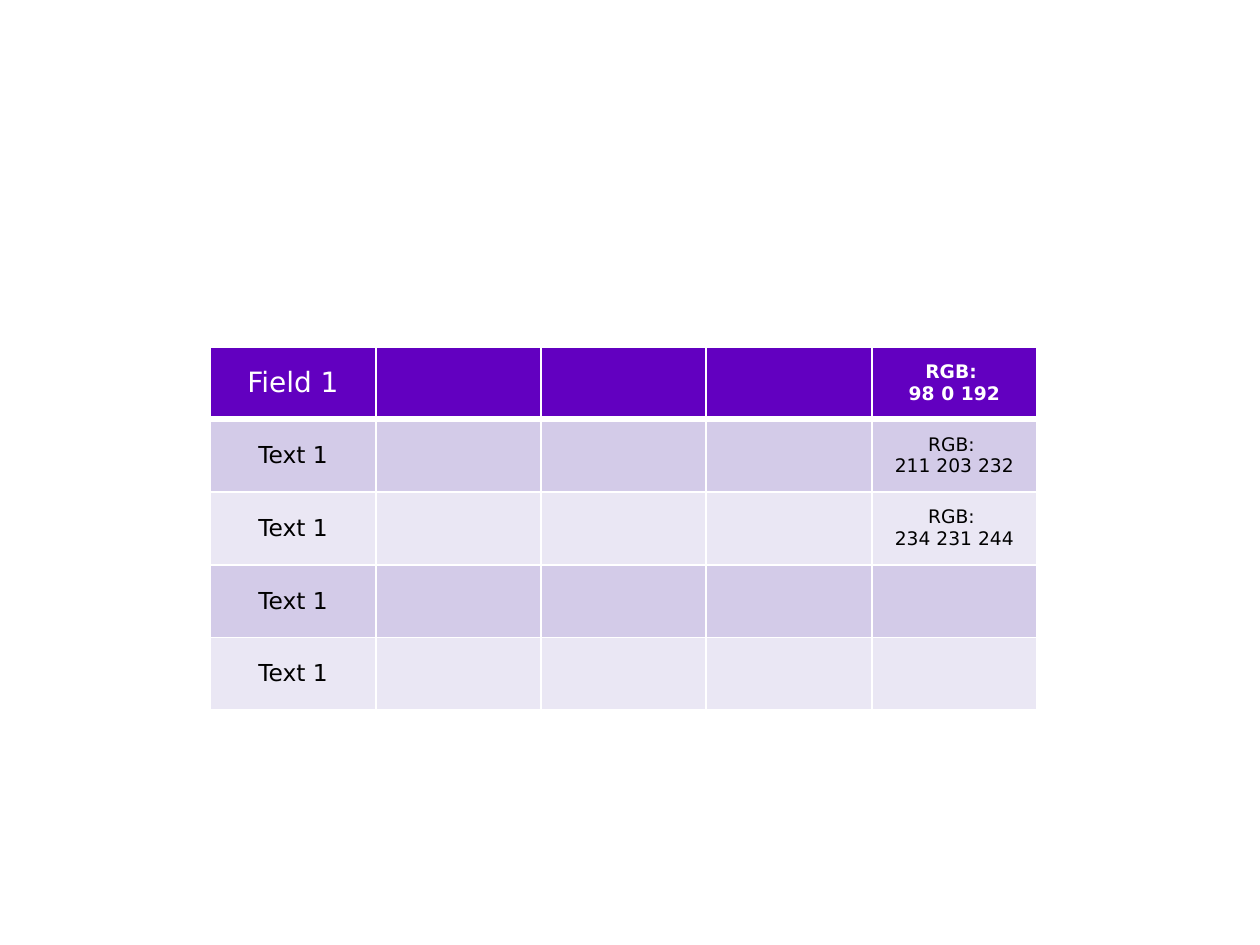
from lxml import etree
from pptx import Presentation
from pptx import util as u
from pptx.dml.color import RGBColor
from pptx.enum import text
from pptx.oxml import ns

WHITE = RGBColor(255, 255, 255)
BLACK = RGBColor(0, 0, 0)
PURPLE = RGBColor(98, 0, 192)
LILAC = RGBColor(211, 203, 232)
PALE = RGBColor(234, 231, 244)

FIELD_COUNT = 5
HEADER = ["Field 1", "RGB: \n98 0 192"]
BODY = [
    ["Text 1", "RGB: \n211 203 232"],
    ["Text 1", "RGB: \n234 231 244"],
    ["Text 1", ""],
    ["Text 1", ""],
]


class TablePage:
    font_name = "DejaVu Sans"
    note_size = u.Pt(8)
    thin, thick = u.Pt(1), u.Pt(3)

    def __init__(self, deck):
        self.page = deck.slides.add_slide(deck.slide_layouts[6])

    def table(self, left, top, column_width, row_height, rows):
        frame = self.page.shapes.add_table(
            rows, FIELD_COUNT, left, top,
            column_width * FIELD_COUNT, row_height * rows)
        for column in frame.table.columns:
            column.width = column_width
        for row in frame.table.rows:
            row.height = row_height
        return frame.table

    def borders(self, cell, top, bottom):
        properties = cell._tc.get_or_add_tcPr()
        widths = {"L": self.thin, "R": self.thin, "T": top, "B": bottom}
        for side, width in widths.items():
            line = etree.SubElement(properties, ns.qn(f"a:ln{side}"), w=str(int(width)))
            fill = etree.SubElement(line, ns.qn("a:solidFill"))
            etree.SubElement(fill, ns.qn("a:srgbClr"), val=str(WHITE))

    def cell_text(self, cell, words, color, font_format):
        cell.vertical_anchor = text.MSO_ANCHOR.MIDDLE
        cell.margin_left = cell.margin_right = u.Cm(0.18)
        cell.text = words
        for para in cell.text_frame.paragraphs:
            para.alignment = text.PP_ALIGN.CENTER
            for span in para.runs:
                span.font.color.rgb = color
                for name, value in font_format.items():
                    setattr(span.font, name, value)

    def row(self, table, index, words, fill, color, label_size, bold_note=False):
        label, note = words
        last = FIELD_COUNT - 1
        for column in range(FIELD_COUNT):
            cell = table.cell(index, column)
            # The rule under the header is shared by the first two rows
            self.borders(cell,
                         top=self.thick if index == 1 else self.thin,
                         bottom=self.thick if index == 0 else self.thin)
            cell.fill.solid()
            cell.fill.fore_color.rgb = fill
            content = {0: label, last: note}.get(column)
            if content:
                self.cell_text(cell, content, color, {
                    "name": self.font_name,
                    "size": self.note_size if column == last else label_size,
                    "bold": bold_note and column == last,
                })


def main():
    deck = Presentation()
    deck.slide_width, deck.slide_height = u.Cm(19.05), u.Cm(14.29)
    sheet = TablePage(deck)

    # Table grid
    table = sheet.table(u.Cm(3.18), u.Cm(5.24), u.Cm(2.5), u.Cm(1.1), len(BODY) + 1)

    # Header row
    sheet.row(table, 0, HEADER, PURPLE, WHITE, u.Pt(12), bold_note=True)

    # Banded body rows
    for index, words in enumerate(BODY, start=1):
        sheet.row(table, index, words, LILAC if index % 2 else PALE, BLACK, u.Pt(10))

    deck.save("out.pptx")


if __name__ == "__main__":
    main()
